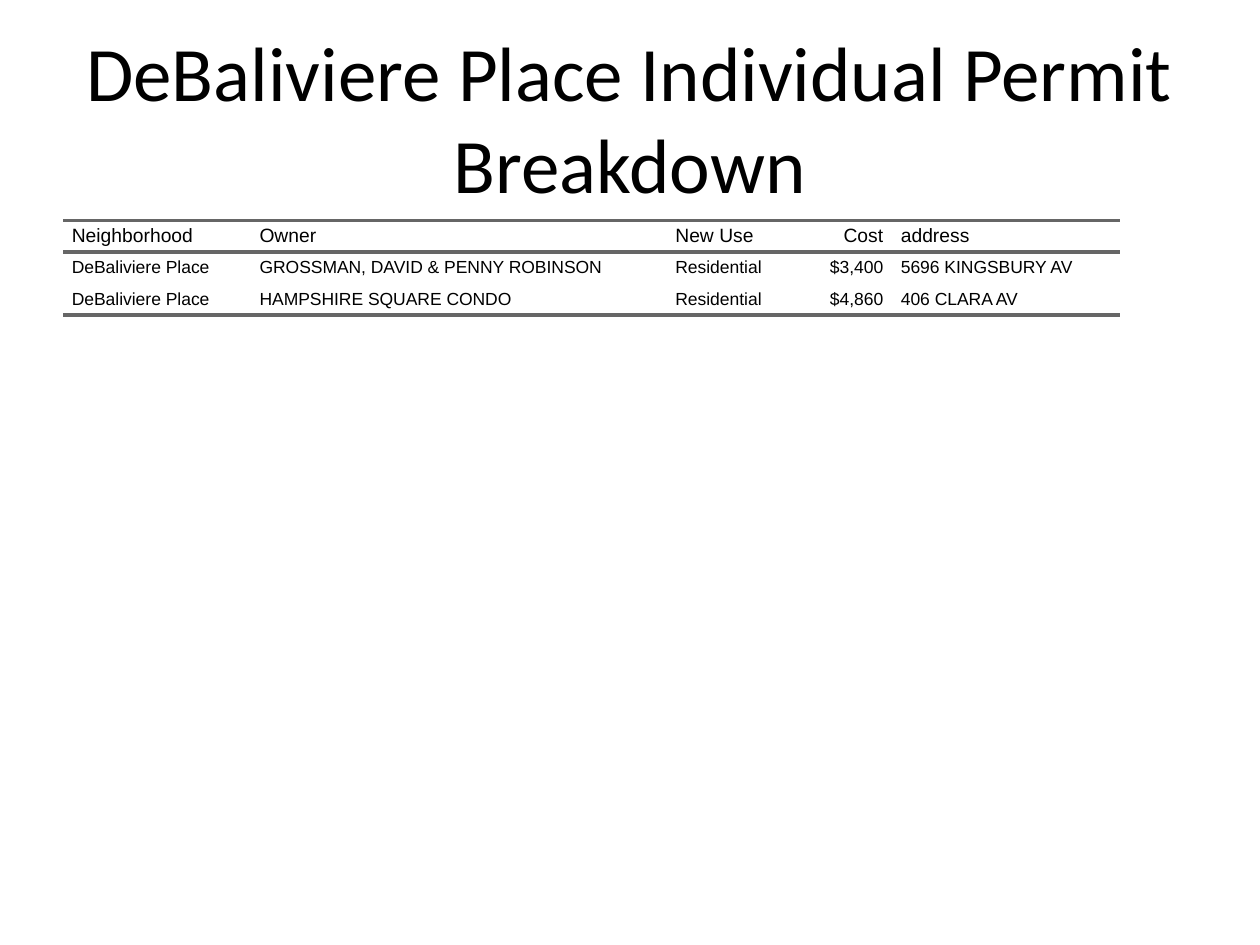
from dataclasses import dataclass

from lxml.etree import SubElement
from pptx import Presentation
from pptx.dml.color import RGBColor
from pptx.enum.text import MSO_ANCHOR, PP_ALIGN
from pptx.oxml.ns import qn
from pptx.util import Pt


@dataclass(frozen=True)
class Theme:
    ink: str = "000000"
    rule: str = "666666"
    title_font: str = "Calibri"
    table_font: str = "Arial"
    title_size: int = 44
    header_size: int = 11
    body_size: int = 10
    rule_width: int = 2
    cell_indent: float = 5.04


THEME = Theme()
TITLE = "DeBaliviere Place Individual Permit Breakdown"
TITLE_BOX = (36, 21.6, 648, 90)
TABLE_BOX = (36, 126, 604.08, 54)
COLUMN_WIDTHS = (107.28, 237.6, 74.88, 54, 130.32)
COST_COLUMN = 3
PERMITS = (
    ("Neighborhood", "Owner", "New Use", "Cost", "address"),
    ("DeBaliviere Place", "GROSSMAN, DAVID & PENNY ROBINSON", "Residential", "$3,400", "5696 KINGSBURY AV"),
    ("DeBaliviere Place", "HAMPSHIRE SQUARE CONDO", "Residential", "$4,860", "406 CLARA AV"),
)


def apply_format(target, values):
    for name, value in values.items():
        setattr(target, name, value)


def write_text(para, text, font_name, size, alignment):
    para.alignment = alignment
    span = para.add_run()
    span.text = text
    apply_format(span.font, {"name": font_name, "size": Pt(size), "bold": False})
    span.font.color.rgb = RGBColor.from_string(THEME.ink)


def set_borders(cell, ruled_edges):
    properties = cell._tc.get_or_add_tcPr()
    for edge in ("L", "R", "T", "B"):
        line = SubElement(properties, qn(f"a:ln{edge}"))
        if edge in ruled_edges:
            line.set("w", str(Pt(THEME.rule_width)))
            fill = SubElement(line, qn("a:solidFill"))
            SubElement(fill, qn("a:srgbClr")).set("val", THEME.rule)
        else:
            SubElement(line, qn("a:noFill"))


def add_title(page, box):
    title = page.shapes.title
    apply_format(title, dict(zip(("left", "top", "width", "height"), map(Pt, box))))
    frame = title.text_frame
    apply_format(frame, {"word_wrap": True, "vertical_anchor": MSO_ANCHOR.MIDDLE})
    write_text(frame.paragraphs[0], TITLE, THEME.title_font, THEME.title_size, PP_ALIGN.CENTER)


def fill_cell(cell, text, size, alignment, ruled_edges):
    margins = dict.fromkeys(("margin_left", "margin_right", "margin_top", "margin_bottom"), 0)
    apply_format(cell, {**margins, "vertical_anchor": MSO_ANCHOR.MIDDLE})
    set_borders(cell, ruled_edges)
    cell.fill.background()
    para = cell.text_frame.paragraphs[0]
    properties = para._p.get_or_add_pPr()
    for side in ("marL", "marR"):
        properties.set(side, str(Pt(THEME.cell_indent)))
    write_text(para, text, THEME.table_font, size, alignment)


def add_permit_table(page, box):
    frame = page.shapes.add_table(len(PERMITS), len(COLUMN_WIDTHS), *map(Pt, box))
    table = frame.table
    apply_format(table, {"first_row": False, "horz_banding": False})
    for column, width in zip(table.columns, COLUMN_WIDTHS):
        column.width = Pt(width)
    edges_by_row = ("TB", "T", "B")
    for row_index, (record, edges) in enumerate(zip(PERMITS, edges_by_row)):
        table.rows[row_index].height = Pt(box[3] / len(PERMITS))
        size = THEME.body_size if row_index else THEME.header_size
        for column_index, text in enumerate(record):
            alignment = PP_ALIGN.RIGHT if column_index == COST_COLUMN else PP_ALIGN.LEFT
            fill_cell(table.cell(row_index, column_index), text, size, alignment, edges)


def main():
    deck = Presentation()
    apply_format(deck, {"slide_width": Pt(720), "slide_height": Pt(540)})
    page = deck.slides.add_slide(deck.slide_layouts.get_by_name("Title Only"))
    add_title(page, TITLE_BOX)
    add_permit_table(page, TABLE_BOX)
    deck.save("out.pptx")


if __name__ == "__main__":
    main()
